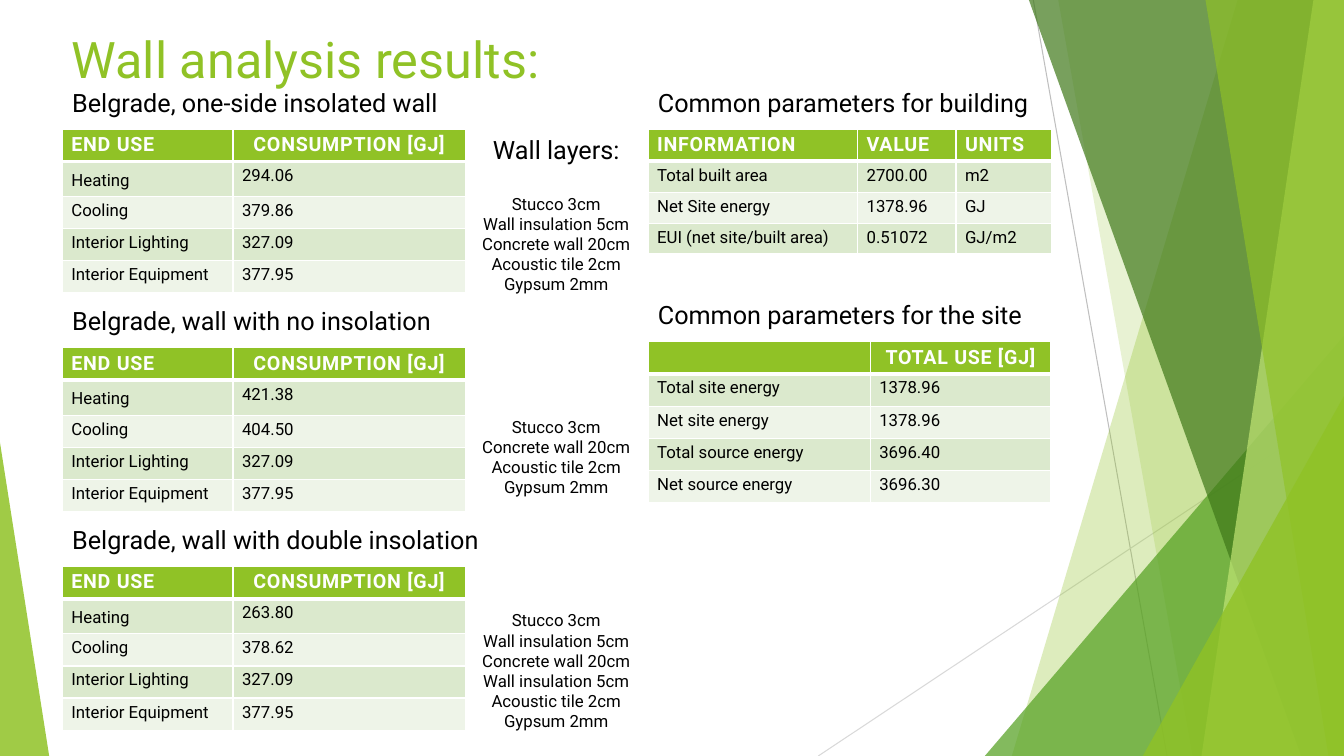
import pptx
import pptx.util
import pptx.dml.color
import pptx.enum.shapes
import pptx.enum.text
import lxml.etree
from pptx.oxml.ns import qn

Cm = pptx.util.Cm
Pt = pptx.util.Pt
ALIGN = pptx.enum.text.PP_ALIGN
SHAPE = pptx.enum.shapes.MSO_SHAPE
LIME, BLACK, WHITE = "90C226", "000000", "FFFFFF"
WIDE, HIGH = 33.87, 19.05


def paint(tone):
    return pptx.dml.color.RGBColor.from_string(tone)


def write(frame, text, size, tone=BLACK, align=ALIGN.LEFT, bold=False):
    frame.word_wrap = True
    frame.text = text
    for para in frame.paragraphs:
        para.alignment = align
        for run in para.runs:
            run.font.name = "Roboto"
            run.font.size = Pt(size)
            run.font.bold = bold
            run.font.color.rgb = paint(tone)


deck = pptx.Presentation()
deck.slide_width, deck.slide_height = Cm(WIDE), Cm(HIGH)
slide = deck.slides.add_slide(deck.slide_layouts[5])
shapes = slide.shapes

for x1, y1, x2, y2, tone in [
    (26.04, 0, 29.41, HIGH, "BFBFBF"),
    (WIDE, 10.24, 20.62, HIGH, "D9D9D9"),
]:
    line = shapes.add_connector(
        pptx.enum.shapes.MSO_CONNECTOR.STRAIGHT, Cm(x1), Cm(y1), Cm(x2), Cm(y2)
    )
    line.line.color.rgb = paint(tone)
    line.line.width = Pt(0.75)
    lxml.etree.SubElement(line._element.spPr, qn("a:effectLst"))

for kind, place, tone, alpha in [
    ("band", (31.19, 25.5), LIME, 30),
    ("band", (26.67, 30.05), LIME, 20),
    ("peak", (24.82, 8.46, WIDE, 1), "54A021", 72),
    ("band", (25.93, 32.79), "3F7819", 70),
    ("band", (33.1, 30.28), "C0E474", 70),
    ("band", (30.38, 33.48), LIME, 65),
    ("peak", (28.8, 9.98, WIDE, 1), LIME, 80),
    ("peak", (0, 11.15, 1.24, 0), LIME, 85),
]:
    if kind == "band":
        upper, lower = place
        form = shapes.build_freeform(Cm(upper), 0)
        form.add_line_segments(
            [(Cm(WIDE), 0), (Cm(WIDE), Cm(HIGH)), (Cm(lower), Cm(HIGH))]
        )
        facet = form.convert_to_shape()
    else:
        left, top, right, lean = place
        facet = shapes.add_shape(
            SHAPE.ISOSCELES_TRIANGLE,
            Cm(left), Cm(top), Cm(right - left), Cm(HIGH - top),
        )
        facet.adjustments[0] = lean
    facet.shadow.inherit = False
    facet.line.fill.background()
    facet.fill.solid()
    facet.fill.fore_color.rgb = paint(tone)
    shade = facet._element.spPr.find(".//" + qn("a:srgbClr"))
    lxml.etree.SubElement(shade, qn("a:alpha"), val=str(alpha * 1000))

title = shapes.title
title.left, title.top = Cm(1.55), Cm(0.51)
title.width, title.height = Cm(23.88), Cm(1.9)
write(title.text_frame, "Wall analysis results:", 36, LIME)
title.text_frame.vertical_anchor = pptx.enum.text.MSO_ANCHOR.MIDDLE

tables = []
for index, (name, values) in enumerate([
    ("one-side insolated wall", ["294.06", "379.86", "327.09", "377.95"]),
    ("wall with no insolation", ["421.38", "404.50", "327.09", "377.95"]),
    ("wall with double insolation", ["263.80", "378.62", "327.09", "377.95"]),
]):
    uses = ["Heating", "Cooling", "Interior Lighting", "Interior Equipment"]
    rows = [("END USE", "CONSUMPTION [GJ]"), *zip(uses, values)]
    tables.append((
        "Belgrade, " + name, 1.57, 3.25 + 5.51 * index,
        [4.3, 5.86], [0.82, 0.88, 0.81, 0.81, 0.81], rows,
    ))
tables.append((
    "Common parameters for building", 16.33, 3.25,
    [5.28, 2.48, 2.4], [0.81, 0.79, 0.77, 0.77],
    [
        ("INFORMATION", "VALUE", "UNITS"),
        ("Total built area", "2700.00", "m2"),
        ("Net Site energy", "1378.96", "GJ"),
        ("EUI (net site/built area)", "0.51072", "GJ/m2"),
    ],
))
tables.append((
    "Common parameters for the site", 16.33, 8.61,
    [5.6, 4.56], [0.81] * 5,
    [
        ("", "TOTAL USE [GJ]"),
        ("Total site energy", "1378.96"),
        ("Net site energy", "1378.96"),
        ("Total source energy", "3696.40"),
        ("Net source energy", "3696.30"),
    ],
))

for name, left, top, widths, heights, rows in tables:
    label = shapes.add_textbox(Cm(left), Cm(top - 1.18), Cm(11.55), Cm(1.02))
    write(label.text_frame, name, 18)
    grid = shapes.add_table(
        len(rows), len(widths), Cm(left), Cm(top), Cm(sum(widths)), Cm(sum(heights))
    ).table
    for column, width in zip(grid.columns, widths):
        column.width = Cm(width)
    for r, (row, height) in enumerate(zip(rows, heights)):
        grid.rows[r].height = Cm(height)
        for c, text in enumerate(row):
            cell = grid.cell(r, c)
            cell.margin_left = cell.margin_right = Cm(0.23)
            cell.margin_top = Cm(0.23 if text == "Heating" else 0.11)
            cell.margin_bottom = Cm(0.11)
            for side in "LRTB":
                thick = 3 if r == 0 and side == "B" or r == 1 and side == "T" else 1
                edge = lxml.etree.SubElement(
                    cell._tc.get_or_add_tcPr(), qn("a:ln" + side), w=str(Pt(thick))
                )
                solid = lxml.etree.SubElement(edge, qn("a:solidFill"))
                lxml.etree.SubElement(solid, qn("a:srgbClr"), val=WHITE)
            cell.fill.solid()
            if r:
                cell.fill.fore_color.rgb = paint("DBE9CD" if r % 2 else "EEF4E8")
                write(cell.text_frame, text, 12)
                continue
            cell.fill.fore_color.rgb = paint(LIME)
            align = ALIGN.CENTER if c == 1 and len(row) == 2 else ALIGN.LEFT
            write(cell.text_frame, text, 14, "FEFEFE", align, True)
            para = cell.text_frame.paragraphs[0]
            for run in para.runs:
                run._r.get_or_add_rPr().set("spc", "50")
            if not text:
                lxml.etree.SubElement(para._p, qn("a:endParaRPr"), sz="1400")

stucco, wool, slab = "Stucco 3cm", "Wall insulation 5cm", "Concrete wall 20cm"
tile, gypsum = "Acoustic tile 2cm", "Gypsum 2mm"
for top, height, layers in [
    (3.25, 5.13, ["Wall layers:", stucco, wool, slab, tile, gypsum]),
    (10.37, 3.1, [stucco, slab, tile, gypsum]),
    (15.25, 3.7, [stucco, wool, slab, wool, tile, gypsum]),
]:
    stack = shapes.add_textbox(Cm(11.71), Cm(top), Cm(4.62), Cm(height))
    write(stack.text_frame, "\n".join(layers), 12, align=ALIGN.CENTER)
    if layers[0] != stucco:
        head, first = stack.text_frame.paragraphs[:2]
        head.runs[0].font.size = Pt(18)
        first.space_before = Pt(21)

deck.save("out.pptx")
